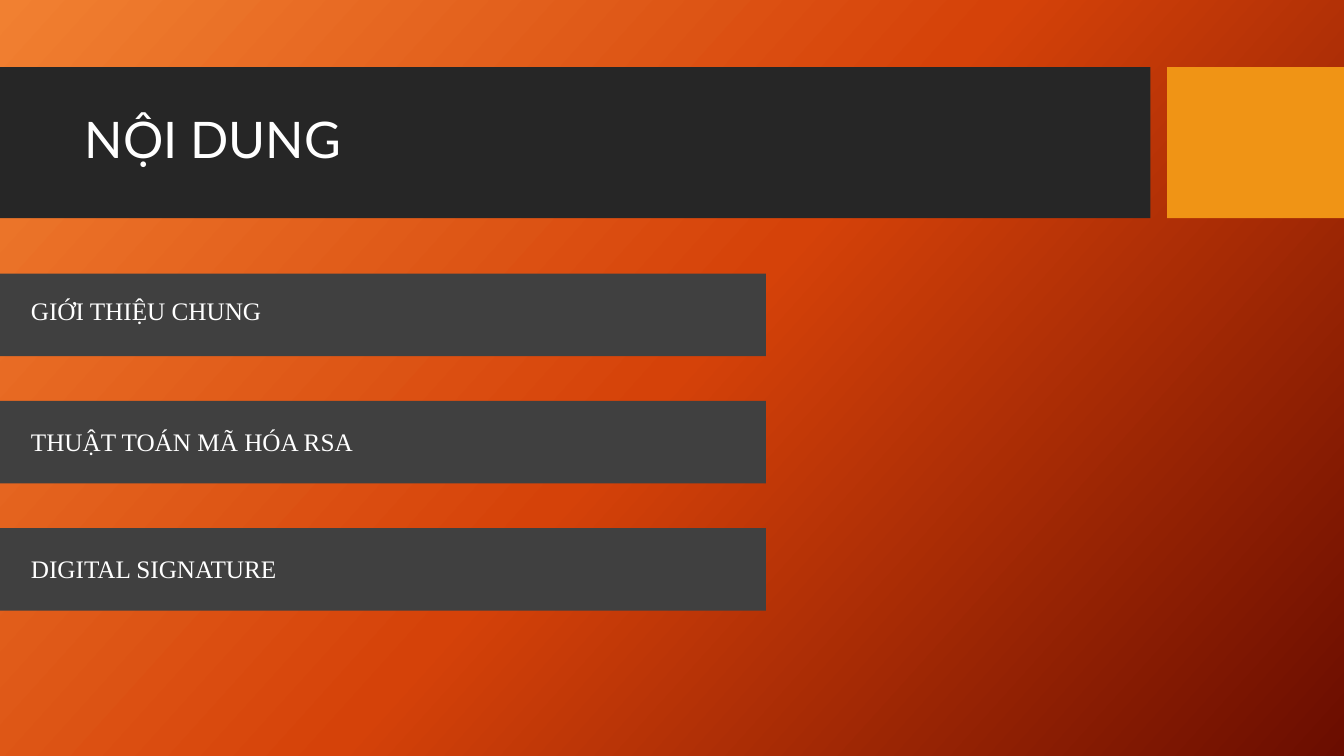
from copy import deepcopy
from dataclasses import dataclass

from pptx import Presentation
from pptx.dml.color import RGBColor
from pptx.enum.shapes import MSO_SHAPE
from pptx.enum.text import MSO_ANCHOR, MSO_AUTO_SIZE, PP_ALIGN
from pptx.oxml.ns import qn
from pptx.util import Pt

RECTANGLE = MSO_SHAPE.RECTANGLE
LEFT = PP_ALIGN.LEFT
TOP, MIDDLE = MSO_ANCHOR.TOP, MSO_ANCHOR.MIDDLE
GROW, FIXED = MSO_AUTO_SIZE.SHAPE_TO_FIT_TEXT, MSO_AUTO_SIZE.NONE
TITLE_ONLY = 5


@dataclass(frozen=True)
class Theme:
    backdrop: tuple = ("F18031", "D54209", "6A0D00")
    backdrop_angle: int = 42
    header: str = "262626"
    accent: str = "F09415"
    bar: str = "404040"
    text: str = "FFFFFF"
    title_font: str = "Lato"
    item_font: str = "Times New Roman"
    title_size: int = 36
    item_size: int = 18


def write_text(frame, text, *, font, size, color, anchor=TOP, fit=FIXED, spacing=None):
    frame.word_wrap = True
    frame.auto_size = fit
    frame.vertical_anchor = anchor
    para = frame.paragraphs[0]
    para.alignment = LEFT
    para.line_spacing = spacing
    span = para.add_run()
    span.text = text
    span.font.name = font
    span.font.size = Pt(size)
    span.font.color.rgb = RGBColor.from_string(color)


class Page:
    def __init__(self, deck, theme):
        self.theme = theme
        self.slide = deck.slides.add_slide(deck.slide_layouts[TITLE_ONLY])

    def backdrop(self):
        fill = self.slide.background.fill
        fill.gradient()
        # The default gradient has two stops; add a third
        stops = self.slide.element.find(".//" + qn("a:gsLst"))
        stops.append(deepcopy(stops[0]))
        for index, (stop, color) in enumerate(zip(fill.gradient_stops, self.theme.backdrop)):
            stop.position = index / 2
            stop.color.rgb = RGBColor.from_string(color)
        # python-pptx counts angles anticlockwise
        fill.gradient_angle = 360 - self.theme.backdrop_angle

    def block(self, left, top, width, height, color):
        box = self.slide.shapes.add_shape(RECTANGLE, Pt(left), Pt(top), Pt(width), Pt(height))
        box.shadow.inherit = False
        box.fill.solid()
        box.fill.fore_color.rgb = RGBColor.from_string(color)
        box.line.fill.background()

    def title(self, text, left, top, width, height):
        box = self.slide.shapes.title
        box.left, box.top, box.width, box.height = Pt(left), Pt(top), Pt(width), Pt(height)
        # Bring the title in front of the header band
        self.slide.shapes.element.append(box.element)
        write_text(box.text_frame, text, font=self.theme.title_font, size=self.theme.title_size,
                   color=self.theme.text, anchor=MIDDLE, spacing=0.9)

    def label(self, text, left, top, width, height):
        box = self.slide.shapes.add_textbox(Pt(left), Pt(top), Pt(width), Pt(height))
        write_text(box.text_frame, text, font=self.theme.item_font, size=self.theme.item_size,
                   color=self.theme.text, fit=GROW)


def main():
    deck = Presentation()
    deck.slide_width, deck.slide_height = Pt(960), Pt(540)
    theme = Theme()
    page = Page(deck, theme)
    page.backdrop()

    # Header band, accent block and title
    page.block(0, 48, 821.8, 107.8, theme.header)
    page.block(833.6, 48, 126.4, 107.8, theme.accent)
    page.title("NỘI DUNG", 53.3, 59, 756.7, 85)

    # Agenda bars; the first label sits slightly higher in its bar
    agenda = [("GIỚI THIỆU CHUNG", 12.2), ("THUẬT TOÁN MÃ HÓA RSA", 14.6), ("DIGITAL SIGNATURE", 14.4)]
    first_top, step = 195.4, 90.9
    for index, (topic, inset) in enumerate(agenda):
        top = first_top + index * step
        page.block(0, top, 547.2, 59, theme.bar)
        page.label(topic, 15, top + inset, 504.7, 29)

    deck.save("out.pptx")


if __name__ == "__main__":
    main()
